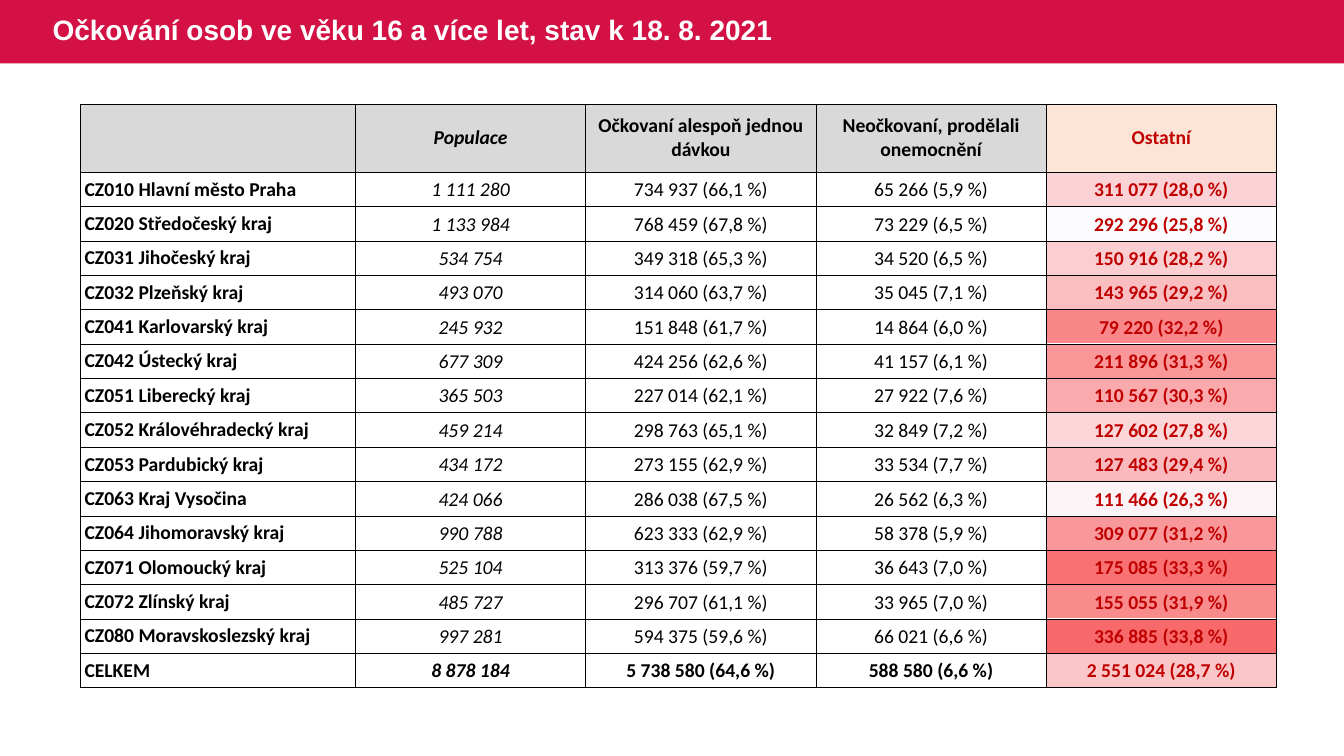
from lxml.etree import SubElement
from pptx import Presentation
from pptx.dml.color import RGBColor
from pptx.enum.shapes import MSO_SHAPE
from pptx.enum.text import MSO_ANCHOR, PP_ALIGN
from pptx.oxml.ns import qn
from pptx.util import Cm, Pt

COLORS = {
    "band": "D31145",
    "white": "FFFFFF",
    "black": "000000",
    "header": "D9D9D9",
    "others_header": "FCE4D6",
    "others_text": "C00000",
    "heat_low": "FCFCFF",
    "heat_high": "F8696B",
}
TITLE = "Očkování osob ve věku 16 a více let, stav k 18. 8. 2021"
HEADERS = ("", "Populace", "Očkovaní alespoň jednou dávkou",
           "Neočkovaní, prodělali onemocnění", "Ostatní")
REGIONS = (
    ("CZ010 Hlavní město Praha", "1 111 280", "734 937 (66,1 %)", "65 266 (5,9 %)", "311 077 (28,0 %)"),
    ("CZ020 Středočeský kraj", "1 133 984", "768 459 (67,8 %)", "73 229 (6,5 %)", "292 296 (25,8 %)"),
    ("CZ031 Jihočeský kraj", "534 754", "349 318 (65,3 %)", "34 520 (6,5 %)", "150 916 (28,2 %)"),
    ("CZ032 Plzeňský kraj", "493 070", "314 060 (63,7 %)", "35 045 (7,1 %)", "143 965 (29,2 %)"),
    ("CZ041 Karlovarský kraj", "245 932", "151 848 (61,7 %)", "14 864 (6,0 %)", "79 220 (32,2 %)"),
    ("CZ042 Ústecký kraj", "677 309", "424 256 (62,6 %)", "41 157 (6,1 %)", "211 896 (31,3 %)"),
    ("CZ051 Liberecký kraj", "365 503", "227 014 (62,1 %)", "27 922 (7,6 %)", "110 567 (30,3 %)"),
    ("CZ052 Královéhradecký kraj", "459 214", "298 763 (65,1 %)", "32 849 (7,2 %)", "127 602 (27,8 %)"),
    ("CZ053 Pardubický kraj", "434 172", "273 155 (62,9 %)", "33 534 (7,7 %)", "127 483 (29,4 %)"),
    ("CZ063 Kraj Vysočina", "424 066", "286 038 (67,5 %)", "26 562 (6,3 %)", "111 466 (26,3 %)"),
    ("CZ064 Jihomoravský kraj", "990 788", "623 333 (62,9 %)", "58 378 (5,9 %)", "309 077 (31,2 %)"),
    ("CZ071 Olomoucký kraj", "525 104", "313 376 (59,7 %)", "36 643 (7,0 %)", "175 085 (33,3 %)"),
    ("CZ072 Zlínský kraj", "485 727", "296 707 (61,1 %)", "33 965 (7,0 %)", "155 055 (31,9 %)"),
    ("CZ080 Moravskoslezský kraj", "997 281", "594 375 (59,6 %)", "66 021 (6,6 %)", "336 885 (33,8 %)"),
    ("CELKEM", "8 878 184", "5 738 580 (64,6 %)", "588 580 (6,6 %)", "2 551 024 (28,7 %)"),
)
LABEL, POPULATION, OTHERS = 0, 1, 4
LABEL_WIDTH, HEADER_HEIGHT = Cm(6.93), Cm(1.72)


def color(name):
    """Return the named colour."""
    return RGBColor.from_string(COLORS[name])


def count(text):
    """Return the number that stands before the bracketed share."""
    return int(text.split("(")[0].replace(" ", ""))


def heat_colors(rows):
    """Shade each row by the share of its population in the last column."""
    shares = [count(row[OTHERS]) / count(row[POPULATION]) for row in rows]
    low, high = min(shares), max(shares)
    ends = list(zip(color("heat_low"), color("heat_high")))
    return [RGBColor(*(round(start + (end - start) * (share - low) / (high - low))
                       for start, end in ends)) for share in shares]


def add_title_band(slide, left, top, width, height):
    """Draw the coloured band with the slide title on it."""
    band = slide.shapes.add_shape(MSO_SHAPE.RECTANGLE, left, top, width, height)
    band.shadow.inherit = False
    band.fill.solid()
    band.fill.fore_color.rgb = color("band")
    band.line.fill.background()
    title = slide.shapes.title
    title.element.addprevious(band.element)
    title.left, title.top = left + Cm(1.07), top
    title.width, title.height = Cm(21.03), height
    title.text_frame.text = TITLE
    title.text_frame.vertical_anchor = MSO_ANCHOR.MIDDLE
    paragraph = title.text_frame.paragraphs[0]
    paragraph.alignment = PP_ALIGN.LEFT
    paragraph.line_spacing = 0.9
    font = paragraph.runs[0].font
    font.name, font.size, font.bold = "Arial", Pt(20), True
    font.color.rgb = color("white")


def add_plain_table(slide, rows, columns, left, top, width, height):
    """Add a table without header style or banding."""
    table = slide.shapes.add_table(rows, columns, left, top, width, height).table
    table.first_row = table.horz_banding = False
    return table


def fill_cell(cell, fill):
    """Fill a cell with a colour, or leave it clear."""
    if fill is None:
        cell.fill.background()
    else:
        cell.fill.solid()
        cell.fill.fore_color.rgb = fill


def add_borders(cell):
    """Give a cell thin black borders on all sides."""
    properties = cell._tc.get_or_add_tcPr()
    for side in ("a:lnL", "a:lnR", "a:lnT", "a:lnB"):
        line = SubElement(properties, qn(side), w=str(Pt(0.5)))
        fill = SubElement(line, qn("a:solidFill"))
        SubElement(fill, qn("a:srgbClr"), val=COLORS["black"])


def format_cell(cell, text, column, is_header, is_total):
    """Write and format one cell of the region table."""
    add_borders(cell)
    header_fill = color("others_header" if column == OTHERS else "header")
    fill_cell(cell, header_fill if is_header else None)
    is_value = not is_header and column != LABEL
    cell.margin_left = cell.margin_right = Cm(0.03 if is_value else 0.1)
    cell.margin_top = Cm(0.03 if is_value else 0)
    cell.margin_bottom = 0
    cell.vertical_anchor = MSO_ANCHOR.MIDDLE
    if not text:
        return
    cell.text_frame.text = text
    paragraph = cell.text_frame.paragraphs[0]
    paragraph.alignment = PP_ALIGN.LEFT if column == LABEL else PP_ALIGN.CENTER
    font = paragraph.runs[0].font
    font.name, font.size = "Calibri", Pt(14)
    font.bold = is_header or is_total or column in (LABEL, OTHERS)
    font.italic = column == POPULATION
    font.color.rgb = color("others_text" if column == OTHERS else "black")


def add_heat_table(slide, left, top, width, height):
    """Build the one-column table of shades behind the last column."""
    table = add_plain_table(slide, len(REGIONS), 1, left, top, width, height)
    slide.shapes.title.element.addprevious(slide.shapes[-1].element)
    for index, fill in enumerate(heat_colors(REGIONS)):
        table.rows[index].height = height // len(REGIONS)
        cell = table.cell(index, 0)
        cell.margin_top = cell.margin_bottom = 0
        fill_cell(cell, fill)


def add_region_table(slide, left, top, width, height):
    """Build the table of regions over its column of shades."""
    value_width = (width - LABEL_WIDTH) // (len(HEADERS) - 1)
    body_height = height - HEADER_HEIGHT
    add_heat_table(slide, left + width - value_width, top + HEADER_HEIGHT,
                   value_width, body_height)
    rows = (HEADERS,) + REGIONS
    table = add_plain_table(slide, len(rows), len(HEADERS), left, top, width, height)
    for index, column in enumerate(table.columns):
        column.width = LABEL_WIDTH if index == LABEL else value_width
    for index, row in enumerate(table.rows):
        row.height = body_height // len(REGIONS) if index else HEADER_HEIGHT
    for row_index, texts in enumerate(rows):
        is_header, is_total = row_index == 0, row_index == len(REGIONS)
        for column, text in enumerate(texts):
            format_cell(table.cell(row_index, column), text, column, is_header, is_total)


def main():
    """Build and save the presentation."""
    presentation = Presentation()
    presentation.slide_width, presentation.slide_height = Cm(33.87), Cm(19.05)
    slide = presentation.slides.add_slide(presentation.slide_layouts[5])
    add_title_band(slide, 0, 0, presentation.slide_width, Cm(1.6))
    add_region_table(slide, Cm(2.03), Cm(2.62), Cm(30.14), Cm(14.71))
    presentation.save("out.pptx")


if __name__ == "__main__":
    main()
